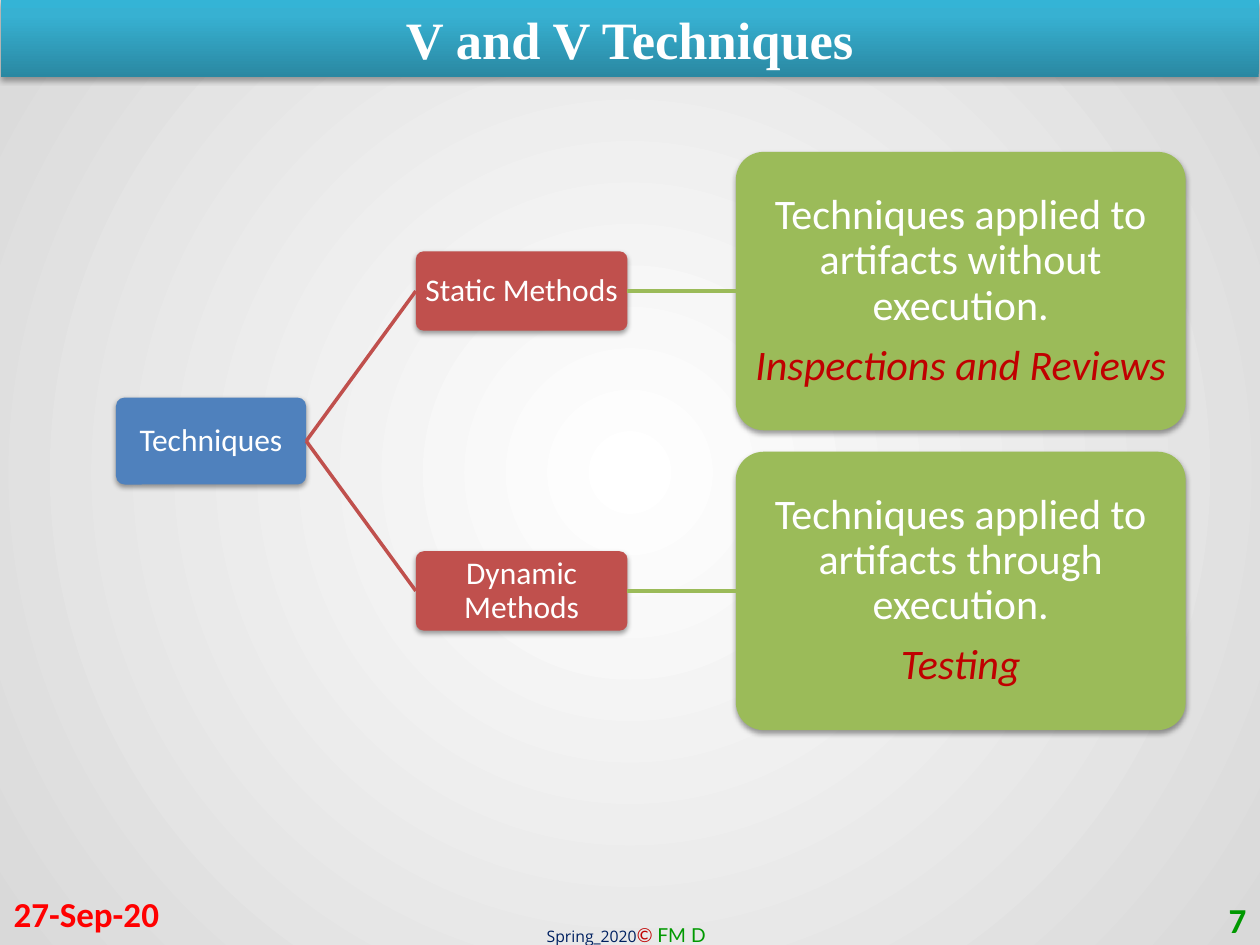
"""Build the slide that shows verification and validation techniques as a tree."""
from dataclasses import dataclass

from lxml import etree
from pptx import Presentation
from pptx import util as u
from pptx.dml.color import RGBColor
from pptx.enum import shapes, text
from pptx.oxml.ns import qn


@dataclass(frozen=True)
class Theme:
    """Colours, fonts and type sizes of the slide."""
    white: str = "FFFFFF"
    root: str = "4F81BD"
    method: str = "C0504D"
    detail: str = "9BBB59"
    accent: str = "C00000"
    green: str = "009900"
    red: str = "FF0000"
    navy: str = "002060"
    backdrop: tuple = ((0, "FFFFFF"), (100, "D9D9D9"))
    banner: tuple = ((0, "2A88A2"), (80, "37B1D2"), (100, "34B4D6"))
    font: str = "Calibri"
    title_font: str = "Times New Roman"
    title_size: int = 30
    detail_size: int = 24
    corner_size: int = 20
    node_size: int = 18


T = Theme()
ROWS = (2.31, 4.69)
ROOT_COL, METHOD_COL, DETAIL_COL = (0.92, 1.51), (3.3, 1.68), (5.84, 3.57)
ROOT_H, METHOD_H, DETAIL_H = 0.69, 0.63, 2.21
BRANCHES = (
    ("Static Methods", "Techniques applied to artifacts without execution.", "Inspections and Reviews"),
    ("Dynamic Methods", "Techniques applied to artifacts through execution.", "Testing"),
)


def add_run(p, words, size, color, font=T.font, bold=False, italic=False):
    """Append one formatted run to a paragraph."""
    r = p.add_run()
    r.text = words
    r.font.name, r.font.size = font, u.Pt(size)
    r.font.bold, r.font.italic = bold, italic
    r.font.color.rgb = RGBColor.from_string(color)


def add_shadow(sp, alpha, distance):
    """Give a shape a soft shadow that falls straight down."""
    sp.shadow.inherit = False
    effects = sp.element.spPr.find(qn("a:effectLst"))
    outer = etree.SubElement(effects, qn("a:outerShdw"), blurRad=str(u.Pt(3.1)),
                             dist=str(u.Pt(distance)), dir="5400000", rotWithShape="0")
    black = etree.SubElement(outer, qn("a:srgbClr"), val="000000")
    etree.SubElement(black, qn("a:alpha"), val=str(alpha * 1000))


def set_gradient(fill, parent, stops, radial=False):
    """Fill with a gradient, from the centre or from bottom to top."""
    fill.gradient()
    grad = parent.find(qn("a:gradFill"))
    for child in list(grad):
        grad.remove(child)
    stop_list = etree.SubElement(grad, qn("a:gsLst"))
    for pos, color in stops:
        stop = etree.SubElement(stop_list, qn("a:gs"), pos=str(pos * 1000))
        etree.SubElement(stop, qn("a:srgbClr"), val=color)
    if radial:
        circle = etree.SubElement(grad, qn("a:path"), path="circle")
        etree.SubElement(circle, qn("a:fillToRect"), l="50000", t="50000", r="50000", b="50000")
    else:
        etree.SubElement(grad, qn("a:lin"), ang="16200000", scaled="0")


def set_title(s, words):
    """Format the title placeholder as a banner along the top."""
    sp = s.shapes.title
    sp.left, sp.top, sp.width, sp.height = map(u.Inches, (0.01, 0, 9.98, 0.61))
    set_gradient(sp.fill, sp.element.spPr, T.banner)
    add_shadow(sp, 35, 1.8)
    p = sp.text_frame.paragraphs[0]
    p.alignment = text.PP_ALIGN.CENTER
    add_run(p, words, T.title_size, T.white, T.title_font, bold=True)


def add_node(s, column, middle, height, color, lines, size, inset):
    """Add a rounded node centred on a row; lines are (words, colour, italic)."""
    left, width = column
    sp = s.shapes.add_shape(shapes.MSO_SHAPE.ROUNDED_RECTANGLE,
                            *map(u.Inches, (left, middle - height / 2, width, height)))
    sp.adjustments[0] = 0.1
    sp.fill.solid()
    sp.fill.fore_color.rgb = RGBColor.from_string(color)
    sp.line.fill.background()
    add_shadow(sp, 38, 1.6)
    tf = sp.text_frame
    tf.word_wrap = True
    tf.vertical_anchor = text.MSO_ANCHOR.MIDDLE
    tf.margin_left = tf.margin_right = tf.margin_top = tf.margin_bottom = u.Inches(inset)
    for i, (words, ink, italic) in enumerate(lines):
        p = tf.add_paragraph() if i else tf.paragraphs[0]
        p.alignment, p.line_spacing = text.PP_ALIGN.CENTER, 0.9
        p.space_after = u.Pt(size * 0.35)
        add_run(p, words, size, ink, italic=italic)
    return sp


def add_link(s, start, end, color):
    """Join the right side of one node to the left side of the next."""
    link = s.shapes.add_connector(shapes.MSO_CONNECTOR.STRAIGHT, 0, 0, 0, 0)
    link.begin_connect(start, 3)
    link.end_connect(end, 1)
    link.line.color.rgb = RGBColor.from_string(color)
    link.line.width = u.Pt(2)
    etree.SubElement(link.element.spPr, qn("a:effectLst"))


def add_label(s, box, runs, align=text.PP_ALIGN.LEFT, anchor=text.MSO_ANCHOR.MIDDLE, wrap=True):
    """Add a one-line text box; each run is the arguments of add_run."""
    tf = s.shapes.add_textbox(*map(u.Inches, box)).text_frame
    tf.word_wrap, tf.vertical_anchor = wrap, anchor
    p = tf.paragraphs[0]
    p.alignment = align
    for run in runs:
        add_run(p, *run)


def add_tree(s):
    """Add the root, its two methods and their details, with links."""
    root = add_node(s, ROOT_COL, sum(ROWS) / 2, ROOT_H, T.root,
                    [("Techniques", T.white, False)], T.node_size, 0.03)
    for middle, (name, summary, example) in zip(ROWS, BRANCHES):
        method = add_node(s, METHOD_COL, middle, METHOD_H, T.method,
                          [(name, T.white, False)], T.node_size, 0.03)
        detail = add_node(s, DETAIL_COL, middle, DETAIL_H, T.detail,
                          [(summary, T.white, False), (example, T.accent, True)],
                          T.detail_size, 0.09)
        add_link(s, root, method, T.method)
        add_link(s, method, detail, T.detail)


def main():
    """Build and save the slide."""
    prs = Presentation()
    prs.slide_width, prs.slide_height = u.Inches(10), u.Inches(7.5)
    s = prs.slides.add_slide(prs.slide_layouts[5])
    fill = s.background.fill
    set_gradient(fill, s.element.find(".//" + qn("p:bgPr")), T.backdrop, radial=True)
    add_label(s, (4.24, 7.28, 1.51, 0.29),
              [("Spring_2020", 9, T.navy, "Open Sans"),
               ("© ", 11, T.accent, "Lato", False, True),
               ("FM D", 11, T.green, "Lato")],
              anchor=text.MSO_ANCHOR.TOP, wrap=False)
    add_label(s, (7.66, 7.1, 2.33, 0.4), [("7", T.corner_size, T.green, T.font, True)],
              align=text.PP_ALIGN.RIGHT)
    add_tree(s)
    set_title(s, "V and V Techniques")
    add_label(s, (0.01, 7.05, 2.33, 0.4), [("27-Sep-20", T.corner_size, T.red, T.font, True)])
    prs.save("out.pptx")


if __name__ == "__main__":
    main()
